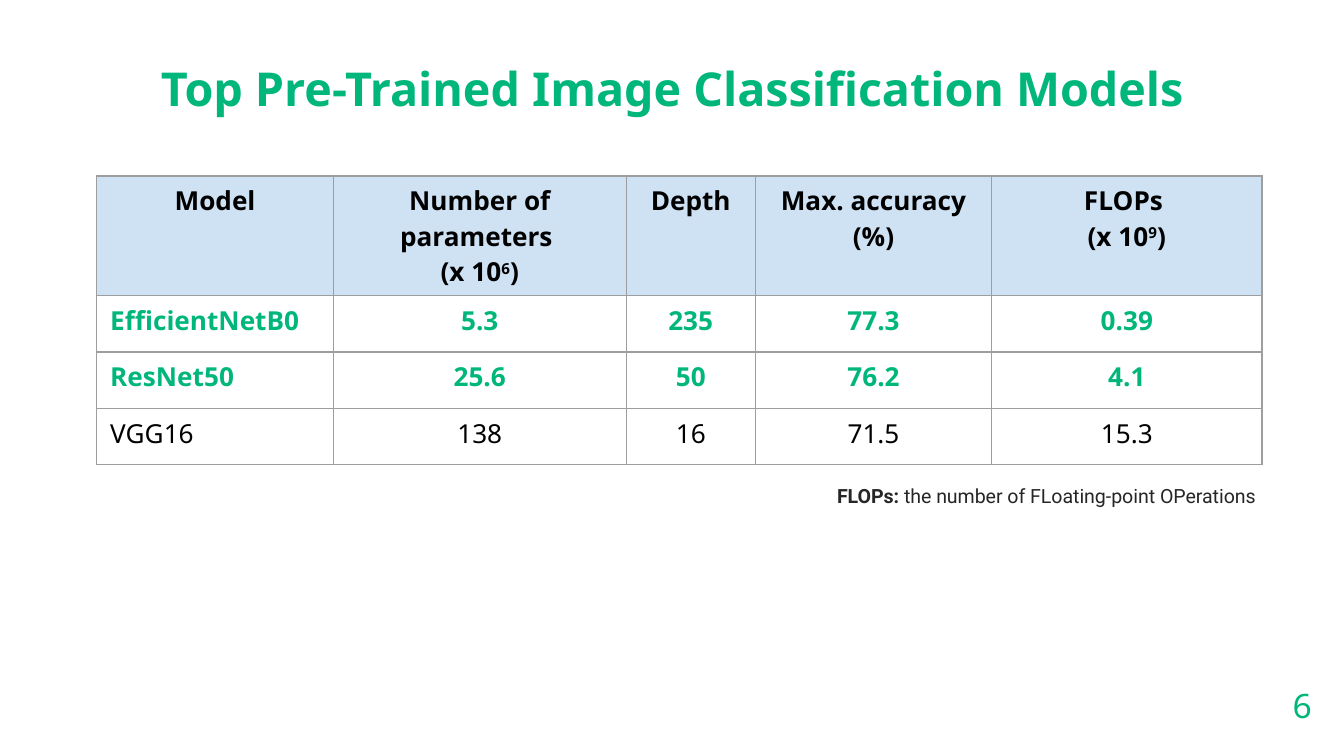
from lxml.etree import SubElement as Sub
from pptx import Presentation
from pptx.dml.color import RGBColor as Rgb
from pptx.enum.text import MSO_ANCHOR as Anchor, PP_ALIGN as Align
from pptx.oxml.ns import qn
from pptx.util import Inches, Pt

GREEN, BLACK, GREY = "00B67B", "000000", "9E9E9E"
HEAD = [
    [["Model"]],
    [["Number of parameters "], ["(x 10", "^6", ")"]],
    [["Depth"]],
    [["Max. accuracy (%)"]],
    [["FLOPs "], ["(x 10", "^9", ")"]],
]
ROWS = [
    ["EfficientNetB0", "5.3", "235", "77.3", "0.39"],
    ["ResNet50", "25.6", "50", "76.2", "4.1"],
    ["VGG16", "138", "16", "71.5", "15.3"],
]
WIDTHS = [1.76, 2.18, 0.96, 1.76, 2.01]
HEIGHTS = [0.89] + [0.42] * len(ROWS)


def paint(code):
    return Rgb.from_string(code)


def add_run(para, text, size=14, color=BLACK, bold=False, face="Noto Sans"):
    run = para.add_run()
    run.text = text.lstrip("^")
    font = run.font
    font.size, font.bold, font.name = Pt(size), bold, face
    font.color.rgb = paint(color)
    if text.startswith("^"):
        run._r.get_or_add_rPr().set("baseline", "30000")


def edge(cell):
    props = cell._tc.get_or_add_tcPr()
    for side in ("a:lnL", "a:lnR", "a:lnT", "a:lnB"):
        line = Sub(props, qn(side), w=str(Pt(0.75)))
        Sub(Sub(line, qn("a:solidFill")), qn("a:srgbClr"), val=GREY)


class Deck:
    def __init__(self):
        self.show = Presentation()
        self.show.slide_width = Inches(10)
        self.show.slide_height = Inches(10 * 9 / 16)
        self.slide = self.show.slides.add_slide(self.show.slide_layouts[6])

    def label(self, spot, align=Align.LEFT, anchor=Anchor.TOP, space=1.0):
        frame = self.slide.shapes.add_textbox(*map(Inches, spot)).text_frame
        frame.word_wrap = True
        frame.vertical_anchor = anchor
        frame.margin_left = frame.margin_right = Inches(0.1)
        frame.margin_top = frame.margin_bottom = Inches(0.1)
        para = frame.paragraphs[0]
        para.alignment, para.line_spacing = align, space
        return para

    def cell(self, cell, lines, align, fill=None, **style):
        edge(cell)
        if fill:
            cell.fill.solid()
            cell.fill.fore_color.rgb = paint(fill)
        else:
            cell.fill.background()
        frame = cell.text_frame
        for i, parts in enumerate(lines):
            para = frame.add_paragraph() if i else frame.paragraphs[0]
            para.alignment = align
            for part in parts:
                add_run(para, part, **style)

    def table(self, left, top):
        size = Inches(sum(WIDTHS)), Inches(sum(HEIGHTS))
        table = self.slide.shapes.add_table(
            len(HEIGHTS), len(WIDTHS), Inches(left), Inches(top), *size).table
        table.first_row = table.horz_banding = False
        for col, width in zip(table.columns, WIDTHS):
            col.width = Inches(width)
        for row, height in zip(table.rows, HEIGHTS):
            row.height = Inches(height)
        for c, lines in enumerate(HEAD):
            self.cell(table.cell(0, c), lines, Align.CENTER, "CFE2F3", bold=True)
        for r, row in enumerate(ROWS, 1):
            best = r < len(ROWS)
            for c, text in enumerate(row):
                self.cell(table.cell(r, c), [[text]],
                          Align.CENTER if c else Align.LEFT,
                          "FFFFFF" if best else None,
                          color=GREEN if best else BLACK, bold=best)


def main():
    deck = Deck()
    title = deck.label((0.34, 0.28, 9.32, 0.63), Align.CENTER, space=1.15)
    add_run(title, "Top Pre-Trained Image Classification Models",
            size=25, color=GREEN, bold=True)
    page = deck.label((9.26, 5.03, 0.6, 0.43), Align.RIGHT, Anchor.MIDDLE)
    add_run(page, "6", size=18, color=GREEN)
    deck.table(0.72, 1.31)
    note = deck.label((6.13, 3.51, 3.43, 0.55))
    style = dict(size=10.5, color="262626", face="Roboto")
    add_run(note, "FLOPs:", bold=True, **style)
    add_run(note, " the number of FLoating-point OPerations", **style)
    deck.show.save("out.pptx")


if __name__ == "__main__":
    main()
